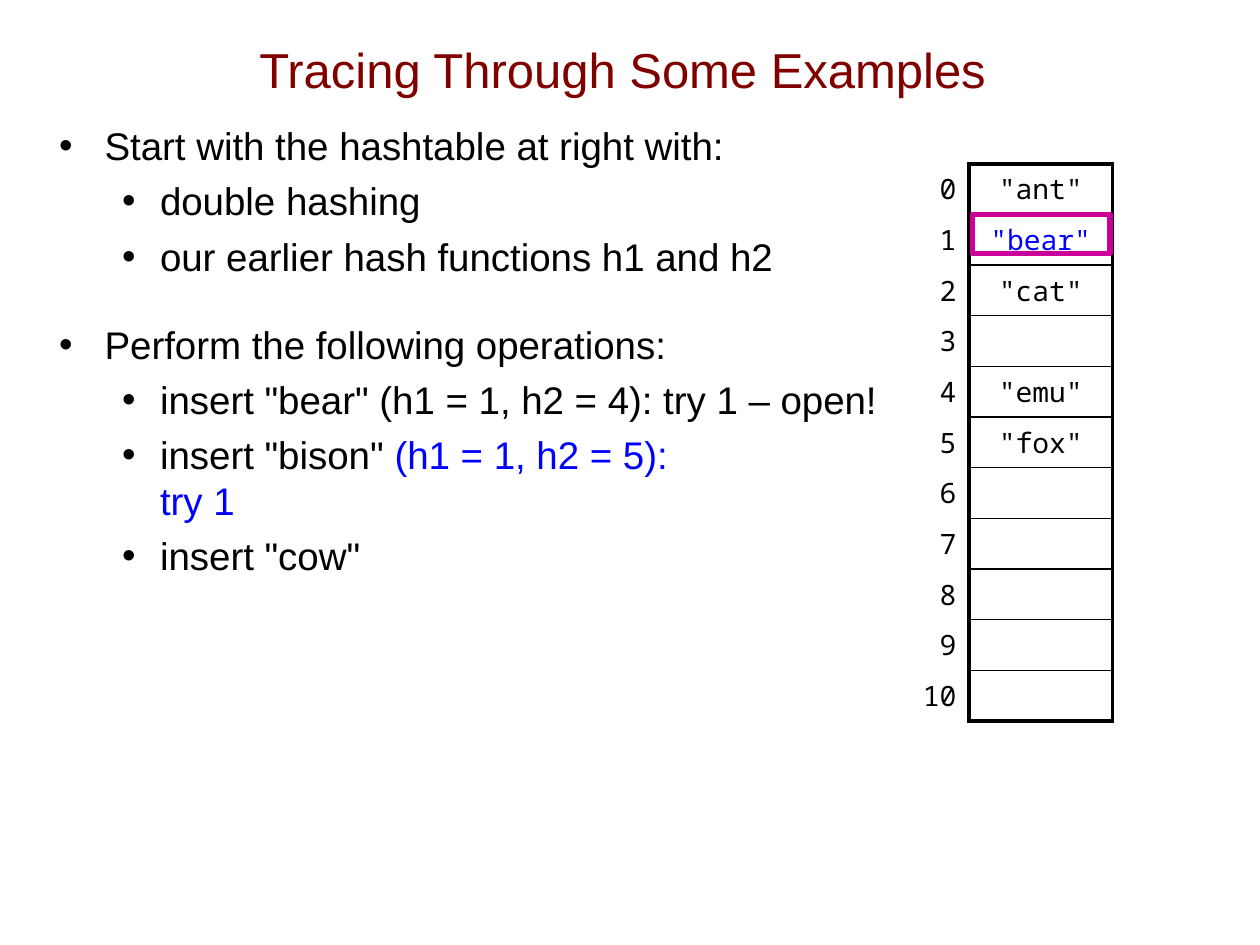
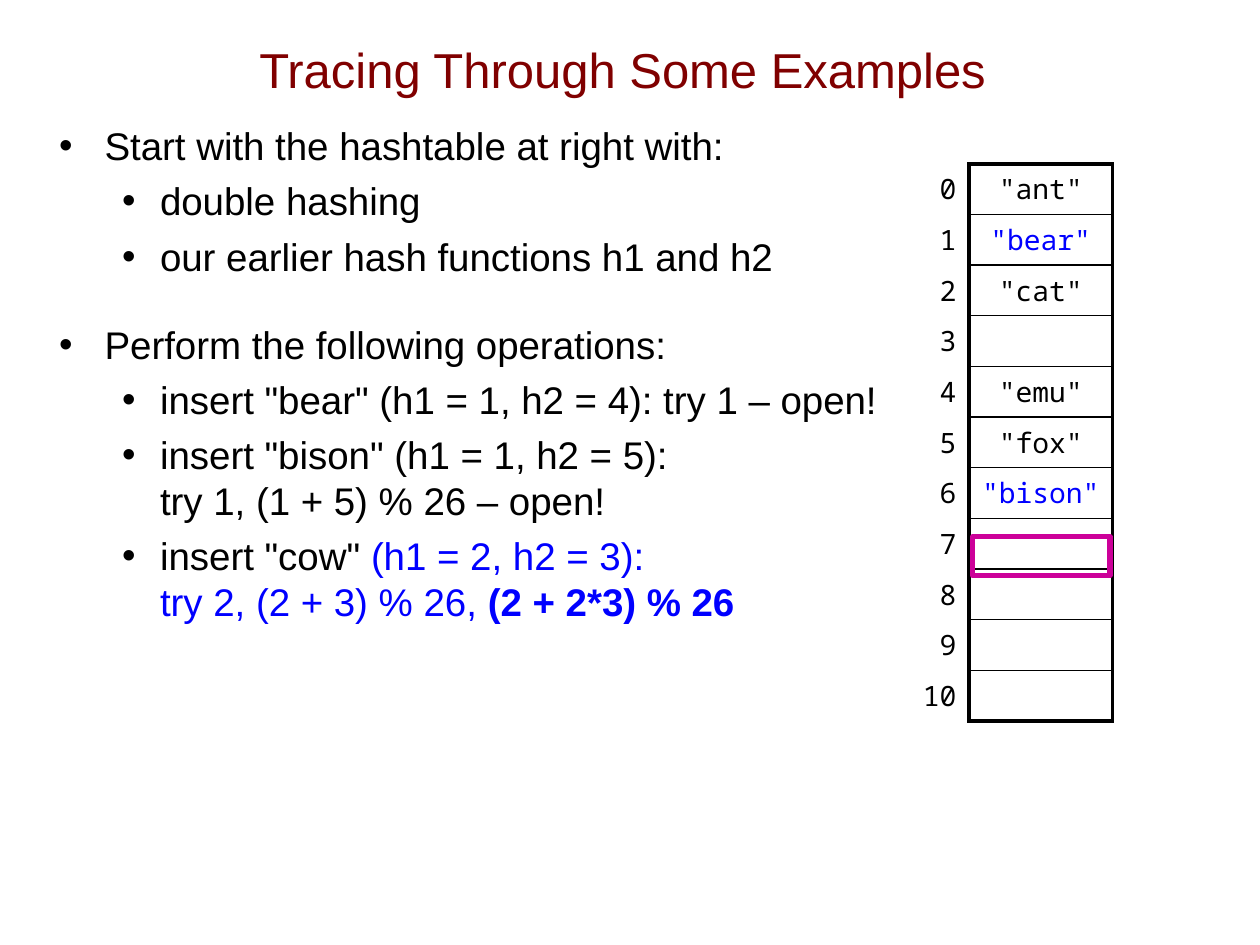
from dataclasses import dataclass

from lxml import etree
from pptx import Presentation
from pptx.dml.color import RGBColor
from pptx.enum.shapes import MSO_SHAPE
from pptx.enum.text import MSO_ANCHOR, MSO_AUTO_SIZE, PP_ALIGN
from pptx.oxml.ns import qn
from pptx.util import Pt

RECTANGLE = MSO_SHAPE.RECTANGLE
TOP, MIDDLE = MSO_ANCHOR.TOP, MSO_ANCHOR.MIDDLE
NO_AUTOFIT = MSO_AUTO_SIZE.NONE
CENTER, RIGHT = PP_ALIGN.CENTER, PP_ALIGN.RIGHT
EMU_PER_PX = 9144


@dataclass(frozen=True)
class Theme:
    text_font: str = "Arial"
    code_font: str = "Noto Sans Mono"
    title_color: str = "800000"
    ink: str = "000000"
    accent: str = "0000FF"
    marker: str = "CC0099"
    title_size: int = 28
    body_size: int = 22
    code_size: int = 16
    thick: float = 2.25
    thin: float = 1
    marker_width: float = 3


def px(length):
    return length * EMU_PER_PX


class Deck:
    """Builds slides in one style, keeping track of the current slide."""

    def __init__(self, theme):
        self.theme = theme
        self.presentation = Presentation()
        self.presentation.slide_width = px(1000)
        self.presentation.slide_height = px(750)
        self.slide = None

    def add_slide(self):
        layout = self.presentation.slide_layouts[1]
        self.slide = self.presentation.slides.add_slide(layout)

    def place(self, shape, left, top, width, height, anchor):
        shape.left, shape.top = px(left), px(top)
        shape.width, shape.height = px(width), px(height)
        frame = shape.text_frame
        frame.word_wrap = True
        frame.auto_size = NO_AUTOFIT
        frame.vertical_anchor = anchor
        return frame

    def run(self, paragraph, text, font, size, color, bold=False):
        for index, line in enumerate(text.split("\n")):
            if index:
                paragraph.add_line_break()
                line_break = paragraph._p.findall(qn("a:br"))[-1]
                etree.SubElement(line_break, qn("a:rPr"), sz=str(size * 100))
            run = paragraph.add_run()
            run.text = line
            run.font.name = font
            run.font.size = Pt(size)
            run.font.bold = bold
            run.font.color.rgb = RGBColor.from_string(color)

    def title(self, text):
        theme = self.theme
        frame = self.place(self.slide.shapes.title, 64, 8, 860, 93, MIDDLE)
        paragraph = frame.paragraphs[0]
        paragraph.alignment = CENTER
        self.run(paragraph, text, theme.text_font, theme.title_size, theme.title_color)

    def bullet(self, paragraph, level, space_before):
        paragraph.level = level
        paragraph.space_before = Pt(space_before)
        margin, indent = ((36, -36), (80, -30))[level]
        properties = paragraph._p.get_or_add_pPr()
        properties.set("marL", str(px(margin)))
        properties.set("indent", str(px(indent)))
        color = etree.SubElement(properties, qn("a:buClr"))
        etree.SubElement(color, qn("a:srgbClr"), val=self.theme.ink)
        etree.SubElement(properties, qn("a:buFont"), typeface=self.theme.text_font)
        etree.SubElement(properties, qn("a:buChar"), char="•")

    def body(self, items):
        theme = self.theme
        frame = self.place(self.slide.placeholders[1], 37, 92, 963, 614, TOP)
        for index, (level, space_before, *runs) in enumerate(items):
            paragraph = frame.add_paragraph() if index else frame.paragraphs[0]
            self.bullet(paragraph, level, space_before)
            for text, color, bold in runs:
                self.run(paragraph, text, theme.text_font, theme.body_size, color, bold)

    def border(self, cell, side, width):
        properties = cell._tc.get_or_add_tcPr()
        line = etree.SubElement(properties, qn(f"a:ln{side}"), w=str(Pt(width)))
        if width:
            fill = etree.SubElement(line, qn("a:solidFill"))
            etree.SubElement(fill, qn("a:srgbClr"), val=self.theme.ink)
        else:
            etree.SubElement(line, qn("a:noFill"))

    def cell(self, cell, text, alignment, color, borders):
        theme = self.theme
        paragraph = cell.text_frame.paragraphs[0]
        paragraph.alignment = alignment
        if text:
            self.run(paragraph, text, theme.code_font, theme.code_size, color)
        else:
            etree.SubElement(paragraph._p, qn("a:endParaRPr"), sz=str(theme.code_size * 100))
        for side, width in zip("LRTB", borders):
            self.border(cell, side, width)
        cell.fill.background()

    def hashtable(self, entries, inserted, size=11):
        theme = self.theme
        table = self.slide.shapes.add_table(size, 2, px(654), px(130), px(229), px(403)).table
        table.first_row = table.horz_banding = False
        table.columns[0].width, table.columns[1].width = px(115), px(114)
        for index in range(size):
            word = entries.get(index, "")
            upper = theme.thin if index else theme.thick
            lower = theme.thin if index < size - 1 else theme.thick
            color = theme.accent if word in inserted else theme.ink
            self.cell(table.cell(index, 0), str(index), RIGHT, theme.ink,
                      (0, theme.thick, 0, 0))
            self.cell(table.cell(index, 1), word and f'"{word}"', CENTER, color,
                      (theme.thick, theme.thick, upper, lower))

    def probe_marker(self, top):
        shape = self.slide.shapes.add_shape(RECTANGLE, px(772), px(top), px(109), px(31))
        shape.shadow.inherit = False
        shape.fill.background()
        shape.line.color.rgb = RGBColor.from_string(self.theme.marker)
        shape.line.width = Pt(self.theme.marker_width)


def main():
    theme = Theme()
    deck = Deck(theme)

    def plain(text):
        return text, theme.ink, False

    def new(text, bold=False):
        return text, theme.accent, bold

    shared_items = [
        (0, 14.2, plain("Start with the hashtable at right with:")),
        (1, 5.2, plain("double hashing")),
        (1, 5.2, plain("our earlier hash functions h1 and h2")),
        (0, 24, plain("Perform the following operations:")),
        (1, 5, plain('insert "bear" (h1 = 1, h2 = 4): try 1 – open!')),
    ]
    bison_started = [
        (1, 5, plain('insert "bison" '), new("(h1 = 1, h2 = 5):\ntry 1")),
        (1, 5, plain('insert "cow"')),
    ]
    cow_started = [
        (1, 5, plain('insert "bison" (h1 = 1, h2 = 5):\ntry 1, (1 + 5) % 26 – open!')),
        (1, 5, plain('insert "cow" '), new("(h1 = 2, h2 = 3):\ntry 2, (2 + 3) % 26, "),
         new("(2 + 2*3) % 26", bold=True)),
    ]
    entries = {0: "ant", 1: "bear", 2: "cat", 4: "emu", 5: "fox"}
    steps = [
        (bison_started, entries, 170),
        (cow_started, {**entries, 6: "bison"}, 426),
    ]
    for step_items, step_entries, marker_top in steps:
        deck.add_slide()
        deck.title("Tracing Through Some Examples")
        deck.body(shared_items + step_items)
        deck.hashtable(step_entries, inserted=("bear", "bison"))
        deck.probe_marker(marker_top)
    deck.presentation.save("out.pptx")


if __name__ == "__main__":
    main()
